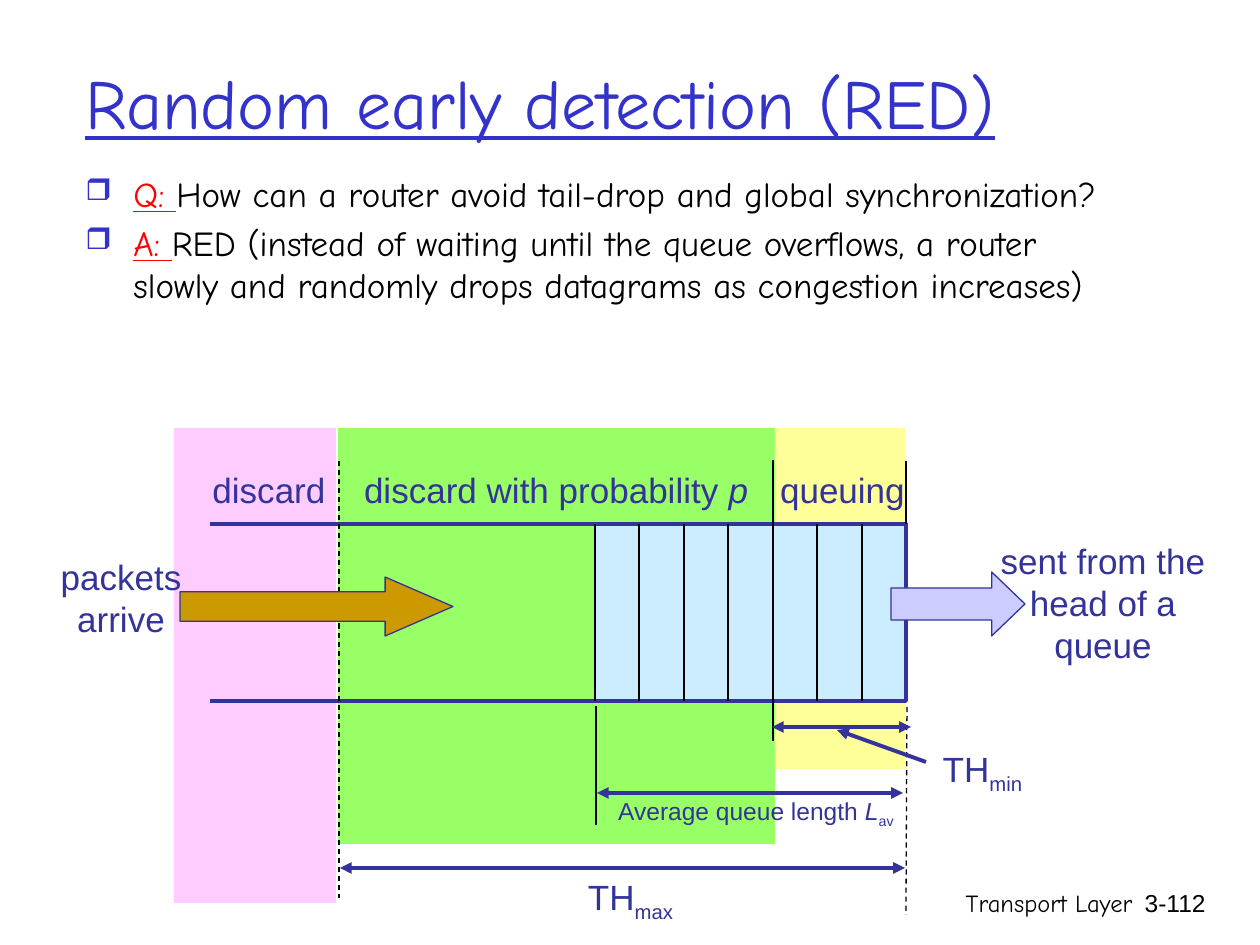
from lxml import etree
from pptx import Presentation
from pptx import util as u
from pptx.dml.color import RGBColor
from pptx.enum import dml, shapes, text
from pptx.oxml import ns

SCALE = u.Inches(1) / 126
NAVY, BLACK, RED, BLUE = "333399", "000000", "FF0000", "3333CC"
SANS, HAND = "Arial", "Comic Neue"
CENTER, LEFT, RIGHT = text.PP_ALIGN.CENTER, text.PP_ALIGN.LEFT, text.PP_ALIGN.RIGHT


def px(length):
    return u.Emu(round(length * SCALE))


def rgb(color):
    return RGBColor.from_string(color)


def child(parent, tag, **attributes):
    return etree.SubElement(parent, ns.qn(tag), **attributes)


class Canvas:
    def __init__(self, page):
        self.page = page

    def outline(self, line, color, points, dashed=False):
        line.color.rgb = rgb(color)
        line.width = u.Pt(points)
        if dashed:
            line.dash_style = dml.MSO_LINE.DASH

    def block(self, kind, place, fill, edge=None, adjustments=()):
        shape = self.page.shapes.add_shape(kind, *map(px, place))
        shape.shadow.inherit = False
        shape.fill.solid()
        shape.fill.fore_color.rgb = rgb(fill)
        if edge:
            self.outline(shape.line, edge, 0.75)
        else:
            shape.line.fill.background()
        for index, value in enumerate(adjustments):
            shape.adjustments[index] = value

    def path_line(self, points, color, width):
        builder = self.page.shapes.build_freeform(*points[0], scale=SCALE)
        builder.add_line_segments(points[1:], close=False)
        shape = builder.convert_to_shape()
        shape.shadow.inherit = False
        shape.fill.background()
        self.outline(shape.line, color, width)

    def line(self, start, end, color=BLACK, width=0.75, dashed=False, heads=()):
        connector = self.page.shapes.add_connector(
            shapes.MSO_CONNECTOR.STRAIGHT, *map(px, (*start, *end)))
        self.outline(connector.line, color, width, dashed)
        for head in heads:
            child(connector.line._get_or_add_ln(), head, type="triangle")
        child(connector.element.spPr, "a:effectLst")

    def arrow(self, start, end, heads=("a:headEnd", "a:tailEnd")):
        self.line(start, end, NAVY, 2.25, heads=heads)

    def bullet(self, para):
        properties = para._p.get_or_add_pPr()
        properties.set("marL", str(px(48)))
        properties.set("indent", str(px(-48)))
        child(child(properties, "a:buClr"), "a:srgbClr", val=BLUE)
        child(properties, "a:buSzPct", val="85000")
        child(properties, "a:buChar", char="❒")

    def label(self, place, paragraphs, size=20, font=SANS, color=NAVY, align=CENTER,
              wrap=True, middle=False, bullets=False):
        box = self.page.shapes.add_textbox(*map(px, place))
        frame = box.text_frame
        frame.word_wrap = wrap
        if middle:
            frame.vertical_anchor = text.MSO_ANCHOR.MIDDLE
        for index, runs in enumerate(paragraphs):
            para = frame.add_paragraph() if index else frame.paragraphs[0]
            para.alignment = align
            if index:
                para.space_before = u.Pt(4)
            if bullets:
                self.bullet(para)
            for words, style in runs:
                span = para.add_run()
                span.text = words
                span.font.size = u.Pt(size)
                span.font.name = font
                span.font.color.rgb = rgb(style.get("color", color))
                span.font.italic = style.get("italic")
                span.font.underline = style.get("underline")
                if style.get("sub"):
                    span._r.get_or_add_rPr().set("baseline", "-25000")


def draw_text(canvas):
    key = {"color": RED, "underline": True}
    canvas.label((73, 32, 1071, 139), [[("Random early detection (RED)", {"underline": True})]],
                 40, HAND, BLUE, LEFT, middle=True)
    canvas.label((73, 166, 1071, 238), [
        [("Q: ", key),
         ("How can a router avoid tail-drop and global synchronization?", {})],
        [("A: ", key),
         ("RED (instead of waiting until the queue overflows, a router slowly and "
          "randomly drops datagrams as congestion increases)", {})],
    ], 20, HAND, BLACK, LEFT, bullets=True)
    canvas.label((746, 882, 399, 63), [[("Transport Layer", {})]], 14, HAND, BLACK, RIGHT)
    canvas.label((1125, 882, 93, 63), [[("3-112", {})]], 14, SANS, BLACK, RIGHT)


def draw_queue(canvas):
    rectangle, arrow = shapes.MSO_SHAPE.RECTANGLE, shapes.MSO_SHAPE.RIGHT_ARROW
    top, bottom, first, end, cells = 524, 701, 595, 906, 7

    canvas.block(rectangle, (338, 428, 437, 416), "99FF66")
    canvas.block(rectangle, (775, 428, 130, 341), "FFFF99")
    canvas.block(rectangle, (174, 428, 162, 475), "FFCCFF")
    canvas.block(rectangle, (first, top, end - first, bottom - top), "CCECFF")
    canvas.path_line([(210, top), (end, top), (end, bottom), (210, bottom)], NAVY, 2.25)

    for cell in range(cells):
        x = round(first + cell * (end - first) / cells)
        start, stop = (460, 741) if cell == 4 else (top, bottom)
        canvas.line((x, start), (x, stop))
    canvas.line((end, 461), (end, top))
    canvas.line((596, 706), (596, 825))
    canvas.line((339, 461), (339, 898), dashed=True)
    canvas.line((907, 707), (906, 915), dashed=True)

    canvas.block(arrow, (891, 572, 134, 64), "CCCCFF", NAVY, (0.5, 0.52))
    canvas.block(arrow, (180, 577, 273, 59), "CC9900", NAVY, (0.5, 1.15))

    canvas.arrow((772, 727), (911, 727))
    canvas.arrow((597, 793), (903, 793))
    canvas.arrow((340, 868), (905, 868))
    canvas.arrow((926, 762), (837, 730), heads=("a:tailEnd",))


def draw_labels(canvas):
    sub, italic = {"sub": True}, {"italic": True}
    canvas.label((968, 533, 270, 140), [[("sent from the head of a queue", {})]])
    canvas.label((24, 549, 194, 97), [[("packets arrive", {})]])
    canvas.label((920, 741, 125, 54), [[("TH", {}), ("min", sub)]])
    canvas.label((572, 869, 117, 55), [[("TH", {}), ("max", sub)]], wrap=False)
    canvas.label((604, 790, 304, 43),
                 [[("Average queue length ", {}), ("L", italic), ("av", sub)]], 14, wrap=False)
    canvas.label((199, 462, 140, 55), [[("discard", {})]], wrap=False)
    canvas.label((350, 462, 412, 55),
                 [[("discard with probability ", {}), ("p", italic)]], wrap=False)
    canvas.label((767, 462, 151, 55), [[("queuing", {})]], wrap=False)


def main():
    deck = Presentation()
    deck.slide_width, deck.slide_height = px(1260), px(945)
    canvas = Canvas(deck.slides.add_slide(deck.slide_layouts[6]))
    draw_text(canvas)
    draw_queue(canvas)
    draw_labels(canvas)
    deck.save("out.pptx")


if __name__ == "__main__":
    main()
